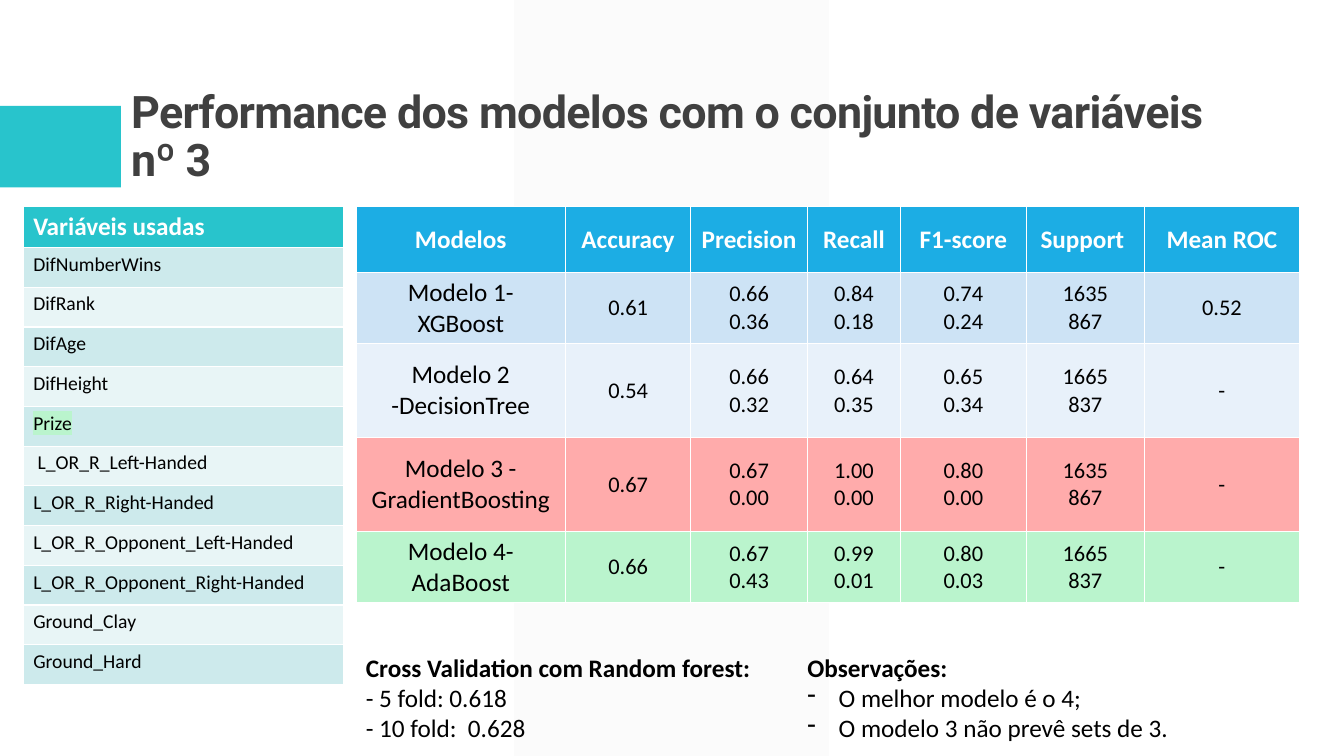
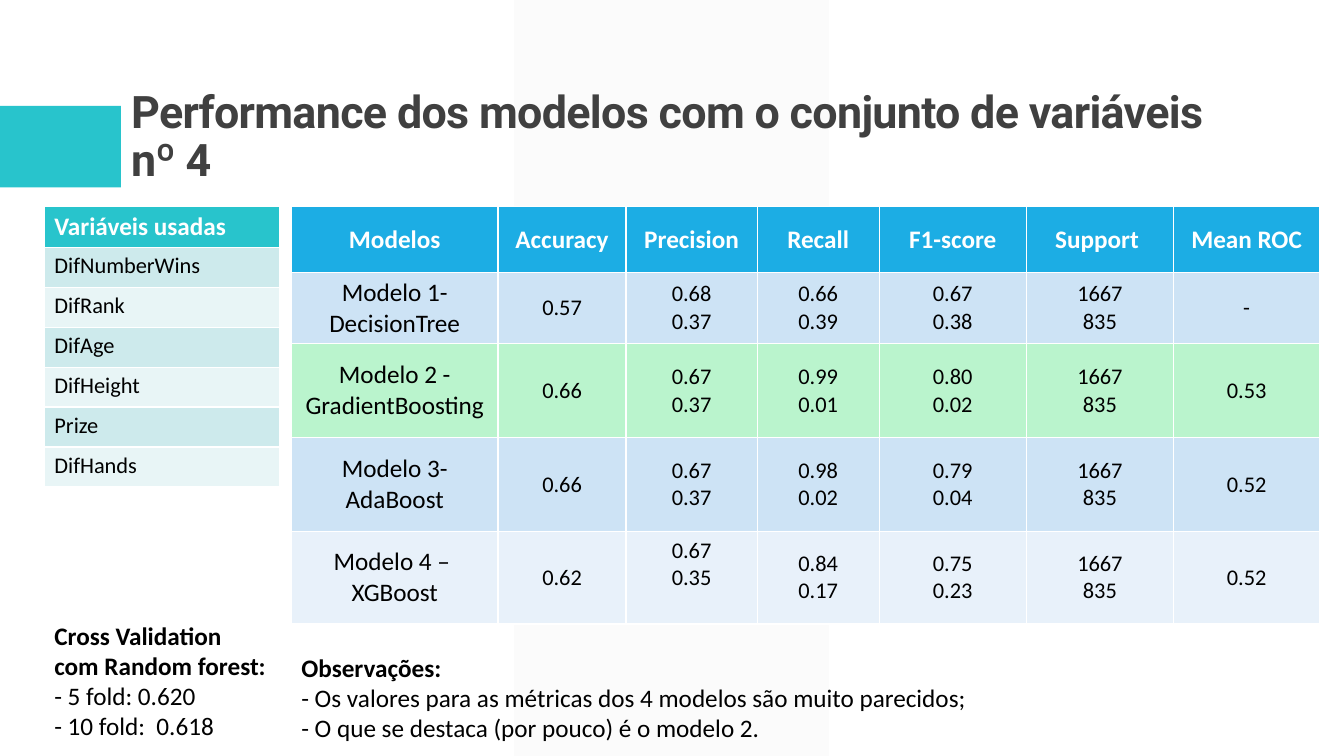
from dataclasses import dataclass

from lxml import etree
from pptx import Presentation
from pptx.dml.color import RGBColor
from pptx.enum import shapes, text
from pptx.oxml import ns
from pptx.util import Inches, Pt


@dataclass(frozen=True)
class Theme:
    teal: str = "28C4CC"
    teal_bands: tuple = ("CDEAEC", "E8F5F6")
    blue: str = "1CADE4"
    blue_bands: tuple = ("CDE3F5", "E8F1FA")
    best: str = "BAF4CD"
    worst: str = "FFABAB"
    stripe: str = "F2F2F2"
    title: str = "404040"
    ink: str = "000000"
    white: str = "FFFFFF"
    title_font: str = "Roboto"
    body_font: str = "Calibri"
    title_size: int = 32
    body_size: int = 18
    value_size: int = 16


THEME = Theme()
TITLE = "Performance dos modelos com o conjunto de variáveis nº {}"
VARIABLES_HEADER = "Variáveis usadas"
METRICS = ("Modelos", "Accuracy", "Precision", "Recall", "F1-score", "Support ", "Mean ROC")
TABLE_TOP = 2.05

SLIDES = [
    {
        "number": 3,
        "variables": {
            "at": (0.23, 3.18, 4.73), "size": 14, "marked": "Prize",
            "names": ["DifNumberWins", "DifRank", "DifAge", "DifHeight", "Prize",
                      " L_OR_R_Left-Handed", "L_OR_R_Right-Handed",
                      "L_OR_R_Opponent_Left-Handed", "L_OR_R_Opponent_Right-Handed",
                      "Ground_Clay", "Ground_Hard"],
        },
        "models": {
            "left": 3.53,
            "widths": (2.08, 1.24, 1.16, 0.92, 1.25, 1.17, 1.54),
            "heights": (0.65, 0.7, 0.93, 0.93, 0.7),
            "fills": {3: THEME.worst, 4: THEME.best},
            "rows": [
                ("Modelo 1- XGBoost", "0.61", "0.66\n0.36", "0.84\n0.18", "0.74\n0.24", "1635\n867", "0.52"),
                ("Modelo 2 -DecisionTree", "0.54", "0.66\n0.32", "0.64\n0.35", "0.65\n0.34", "1665\n837", "-"),
                ("Modelo 3 - GradientBoosting", "0.67", "0.67\n0.00", "1.00\n0.00", "0.80\n0.00", "1635\n867", "-"),
                ("Modelo 4- AdaBoost", "0.66", "0.67\n0.43", "0.99\n0.01", "0.80\n0.03", "1665\n837", "-"),
            ],
        },
        "notes": [
            {"at": (3.53, 6.42, 4.17, 1.01), "heading": ["Cross Validation com Random forest:"],
             "lines": ["- 5 fold: 0.618", "- 10 fold:  0.628"]},
            {"at": (7.91, 6.42, 5.09, 1.01), "heading": ["Observações:"],
             "lines": ["O melhor modelo é o 4;", "O modelo 3 não prevê sets de 3."], "bullet": "-"},
        ],
    },
    {
        "number": 4,
        "variables": {
            "at": (0.44, 2.33, 2.77), "size": 16,
            "names": ["DifNumberWins", "DifRank", "DifAge", "DifHeight", "Prize", "DifHands"],
        },
        "models": {
            "left": 2.89,
            "widths": (2.05, 1.27, 1.3, 1.21, 1.46, 1.46, 1.45),
            "heights": (0.65, 0.7, 0.93, 0.93, 0.92),
            "fills": {2: THEME.best},
            "raised": (4, 2),
            "rows": [
                ("Modelo 1- DecisionTree", "0.57", "0.68\n0.37", "0.66\n0.39", "0.67\n0.38", "1667\n835", "-"),
                ("Modelo 2 - GradientBoosting", "0.66", "0.67\n0.37", "0.99\n0.01", "0.80\n0.02", "1667\n835", "0.53"),
                ("Modelo 3- AdaBoost", "0.66", "0.67\n0.37", "0.98\n0.02", "0.79\n0.04", "1667\n835", "0.52"),
                ("Modelo 4 – \nXGBoost", "0.62", "0.67\n0.35", "0.84\n0.17", "0.75\n0.23", "1667\n835", "0.52"),
            ],
        },
        "notes": [
            {"at": (2.89, 6.42, 10.11, 1.01), "heading": ["Observações:"],
             "lines": ["- Os valores para as métricas dos 4 modelos são muito parecidos;",
                       "- O que se destaca (por pouco) é o modelo 2."]},
            {"at": (0.44, 6.1, 2.45, 1.31), "heading": ["Cross Validation", "com Random forest:"],
             "lines": ["- 5 fold: 0.620", "- 10 fold:  0.618"]},
        ],
    },
]


def inches(values):
    return [Inches(value) for value in values]


def set_font(font, size, color=THEME.ink, bold=False, name=THEME.body_font):
    font.name, font.size, font.bold = name, Pt(size), bold
    font.color.rgb = RGBColor.from_string(color)


def add_color(parent, tag, color):
    """Append an XML element that holds one RGB colour."""
    holder = etree.SubElement(parent, ns.qn(tag))
    return etree.SubElement(holder, ns.qn("a:srgbClr"), val=color)


def add_backdrop(slide, box, color, opacity=None):
    """Place a plain rectangle behind the title."""
    panel = slide.shapes.add_shape(shapes.MSO_SHAPE.RECTANGLE, *inches(box))
    panel.shadow.inherit = False
    panel.line.fill.background()
    panel.fill.solid()
    panel.fill.fore_color.rgb = RGBColor.from_string(color)
    if opacity:
        tint = panel.element.spPr.find(".//" + ns.qn("a:srgbClr"))
        etree.SubElement(tint, ns.qn("a:alpha"), val=str(opacity * 1000))
    slide.shapes.title.element.addprevious(panel.element)


def add_frame(slide, title_text):
    """Give a slide the shared stripe, teal tab and title."""
    add_backdrop(slide, (5.1, 0, 3.12, 7.5), THEME.stripe, opacity=30)
    add_backdrop(slide, (0, 1.05, 1.2, 0.81), THEME.teal)
    title = slide.shapes.title
    title.left, title.top, title.width, title.height = inches((1.2, 0.31, 11, 1.59))
    frame = title.text_frame
    frame.text = title_text
    frame.word_wrap = True
    frame.auto_size = text.MSO_AUTO_SIZE.NONE
    frame.vertical_anchor = text.MSO_ANCHOR.BOTTOM
    line = frame.paragraphs[0]
    line.alignment = text.PP_ALIGN.LEFT
    line.line_spacing = 0.9
    run = line.runs[0]
    set_font(run.font, THEME.title_size, THEME.title, True, THEME.title_font)
    run._r.get_or_add_rPr().set("spc", "-50")


def fill_cell(cell, content, fill, size, header=False, centered=False):
    cell.text = content
    cell.fill.solid()
    cell.fill.fore_color.rgb = RGBColor.from_string(fill)
    if centered:
        cell.vertical_anchor = text.MSO_ANCHOR.MIDDLE
    for line in cell.text_frame.paragraphs:
        line.alignment = text.PP_ALIGN.CENTER if centered else text.PP_ALIGN.LEFT
        set_font(line.font, size, THEME.white if header else THEME.ink, header)


def add_variables(slide, variables):
    left, width, height = variables["at"]
    names = variables["names"]
    table = slide.shapes.add_table(len(names) + 1, 1, *inches((left, TABLE_TOP, width, height))).table
    fill_cell(table.cell(0, 0), VARIABLES_HEADER, THEME.teal, THEME.body_size, header=True)
    for row, name in enumerate(names, 1):
        cell = table.cell(row, 0)
        fill_cell(cell, name, THEME.teal_bands[(row - 1) % 2], variables["size"])
        if name == variables.get("marked"):
            run = cell.text_frame.paragraphs[0].runs[0]
            add_color(run._r.get_or_add_rPr(), "a:highlight", THEME.best)


def add_models(slide, models):
    widths, heights = models["widths"], models["heights"]
    box = inches((models["left"], TABLE_TOP, sum(widths), sum(heights)))
    table = slide.shapes.add_table(len(heights), len(widths), *box).table
    for column, width in zip(table.columns, widths):
        column.width = Inches(width)
    for row, height in zip(table.rows, heights):
        row.height = Inches(height)
    for r, values in enumerate([METRICS, *models["rows"]]):
        header = r == 0
        fill = THEME.blue if header else models["fills"].get(r, THEME.blue_bands[(r - 1) % 2])
        for c, value in enumerate(values):
            size = THEME.body_size if header or c == 0 else THEME.value_size
            fill_cell(table.cell(r, c), value, fill, size, header, centered=True)
    if "raised" in models:
        table.cell(*models["raised"]).margin_bottom = Inches(0.32)


def add_bullet(line, mark):
    properties = line._p.get_or_add_pPr()
    indent = Inches(0.31)
    properties.set("marL", str(indent))
    properties.set("indent", str(-indent))
    bullet = etree.Element(ns.qn("a:buChar"), char=mark)
    properties.insert(0, bullet)


def add_note(slide, note):
    frame = slide.shapes.add_textbox(*inches(note["at"])).text_frame
    frame.word_wrap = True
    frame.auto_size = text.MSO_AUTO_SIZE.SHAPE_TO_FIT_TEXT
    heading = note["heading"]
    frame.text = "\n".join(heading + note["lines"])
    for index, line in enumerate(frame.paragraphs):
        is_heading = index < len(heading)
        if "bullet" in note and not is_heading:
            add_bullet(line, note["bullet"])
        set_font(line.font, THEME.body_size, bold=is_heading)


def main():
    deck = Presentation()
    deck.slide_width, deck.slide_height = inches((13.33, 7.5))
    title_only = deck.slide_layouts[5]
    for content in SLIDES:
        slide = deck.slides.add_slide(title_only)
        add_frame(slide, TITLE.format(content["number"]))
        add_models(slide, content["models"])
        add_variables(slide, content["variables"])
        for note in content["notes"]:
            add_note(slide, note)
    deck.save("out.pptx")


if __name__ == "__main__":
    main()
